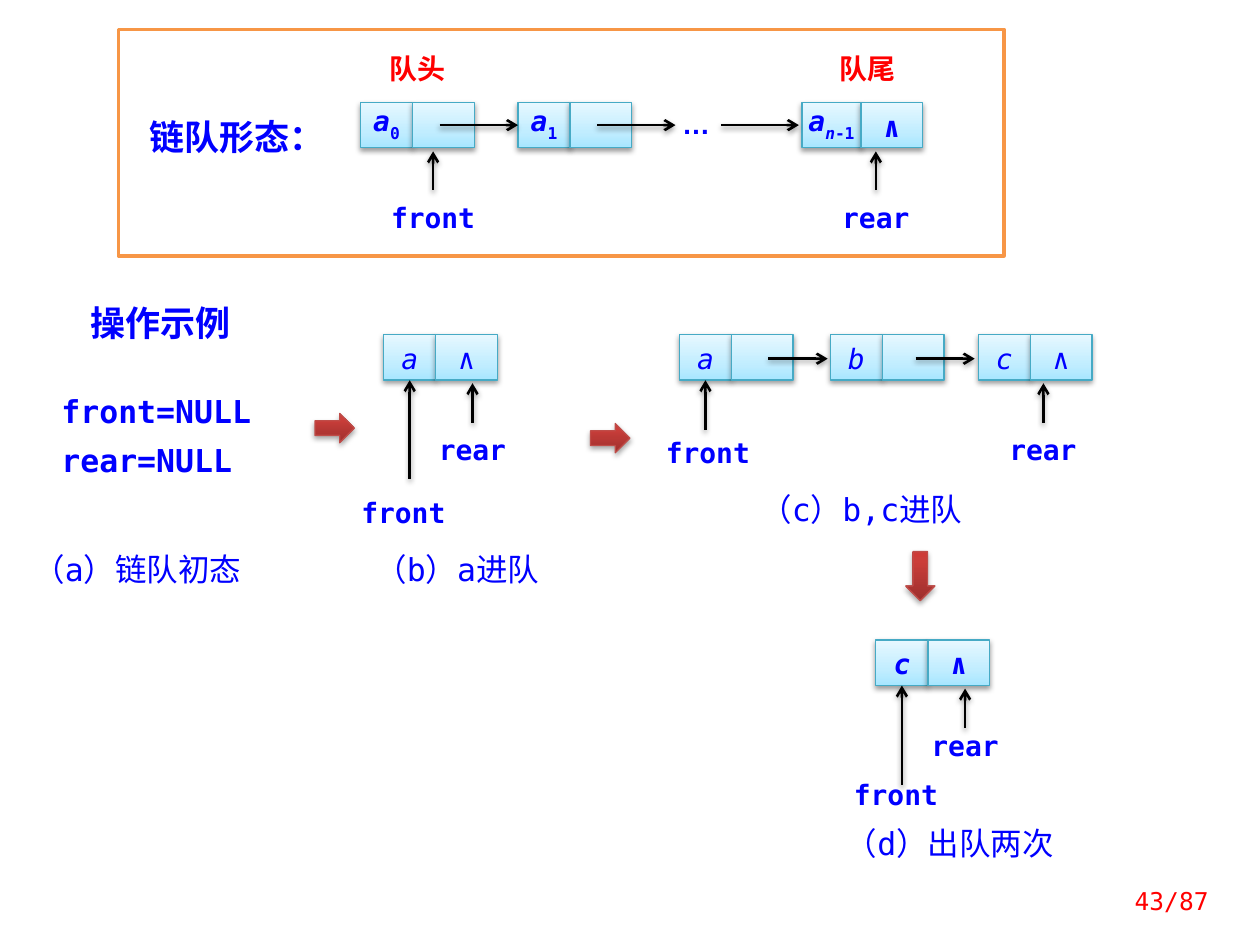
import lxml.etree
import pptx
import pptx.dml.color
import pptx.enum.shapes
import pptx.enum.text
import pptx.oxml.ns
import pptx.util

Pt = pptx.util.Pt
qn = pptx.oxml.ns.qn
SHAPES = pptx.enum.shapes.MSO_SHAPE
ALIGN = pptx.enum.text.PP_ALIGN
MONO = "DejaVu Sans Mono"
BLUE, RED, WHITE, BLACK = "0000FF", "FF0000", "FFFFFF", "000000"
NODE_STOPS = [(0, "A7E6FF"), (35, "C1EDFF"), (100, "E7F8FF")]
ARROW_STOPS = [(0, "9C2F2D"), (80, "CB3E3A"), (100, "CE3B37")]
VALUE_WIDTH, LINK_WIDTH, NODE_HEIGHT = 29.75, 35.25, 26
TOP_ROW, MIDDLE_ROW, BOTTOM_ROW = 58.5, 191.25, 365.75


def colour(value):
    """Turn a hex string into a colour."""
    return pptx.dml.color.RGBColor.from_string(value)


def add_element(parent, tag, **attributes):
    """Append a drawing element to a parent."""
    names = {name: str(value) for name, value in attributes.items()}
    return lxml.etree.SubElement(parent, qn(tag), names)


def add_shadow(effects, opacity, distance):
    """Put a soft downward shadow in an effect list."""
    shadow = add_element(effects, "a:outerShdw", blurRad=Pt(3.1), dist=Pt(distance),
                         dir=5400000, rotWithShape=0)
    shadow_colour = add_element(shadow, "a:srgbClr", val=BLACK)
    add_element(shadow_colour, "a:alpha", val=opacity * 1000)


def fill_gradient(shape, stops):
    """Fill a shape with a gradient that runs upwards."""
    shape.fill.gradient()
    shape.fill.gradient_angle = 90
    stop_list = shape._element.spPr.find(".//" + qn("a:gsLst"))
    stop_list.clear()
    for position, value in stops:
        stop = add_element(stop_list, "a:gs", pos=position * 1000)
        add_element(stop, "a:srgbClr", val=value)


def add_run(paragraph, text, style="", size=16, font=MONO, color=BLUE):
    """Add a run; style letters are b bold, i italic, s subscript."""
    run = paragraph.add_run()
    run.text = text
    run.font.name = font
    run.font.size = Pt(size)
    run.font.bold = "b" in style
    run.font.italic = "i" in style
    run.font.color.rgb = colour(color)
    properties = run._r.get_or_add_rPr()
    add_element(properties, "a:ea", typeface=font)
    if "s" in style:
        properties.set("baseline", "-30000")


def clear_margins(frame):
    """Wrap the text from the top and remove the insets."""
    frame.word_wrap = True
    frame.vertical_anchor = pptx.enum.text.MSO_ANCHOR.TOP
    frame.margin_left = frame.margin_top = frame.margin_right = frame.margin_bottom = 0


def add_box(slide, kind, left, top, width, height, line=None, line_width=0.75):
    """Add a white preset shape without shadow."""
    shape = slide.shapes.add_shape(kind, Pt(left), Pt(top), Pt(width), Pt(height))
    shape.shadow.inherit = False
    shape.fill.solid()
    shape.fill.fore_color.rgb = colour(WHITE)
    if line:
        shape.line.color.rgb = colour(line)
        shape.line.width = Pt(line_width)
    else:
        shape.line.fill.background()
    clear_margins(shape.text_frame)
    return shape


def add_label(slide, text, left, top, width=56, height=26.5, color=BLUE, font=MONO):
    """Add a bold centred label."""
    label = add_box(slide, SHAPES.RECTANGLE, left, top, width, height)
    paragraph = label.text_frame.paragraphs[0]
    paragraph.alignment = ALIGN.CENTER
    add_run(paragraph, text, "b", font=font, color=color)
    return label


def add_cell(slide, left, top, width, runs):
    """Add one cell of a list node."""
    cell = add_box(slide, SHAPES.RECTANGLE, left, top, width, NODE_HEIGHT, "46AAC5")
    fill_gradient(cell, NODE_STOPS)
    add_shadow(cell._element.spPr.find(qn("a:effectLst")), 38, 1.6)
    if runs:
        paragraph = cell.text_frame.paragraphs[0]
        paragraph.alignment = ALIGN.CENTER
        paragraph.line_spacing = Pt(23)
        for text, style in runs:
            add_run(paragraph, text, style)
    return cell


def add_node(slide, left, top, value, link=(), value_width=VALUE_WIDTH):
    """Add a list node and return its value cell."""
    cell = add_cell(slide, left, top, value_width, value)
    add_cell(slide, left + value_width, top, LINK_WIDTH, link)
    return cell


def add_arrow(slide, start, end, source=None, target=None, target_side=1):
    """Add a pointer arrow, joined to the top of source and a side of target."""
    points = [Pt(value) for value in (*start, *end)]
    straight = pptx.enum.shapes.MSO_CONNECTOR.STRAIGHT
    arrow = slide.shapes.add_connector(straight, *points)
    arrow.line.color.rgb = colour(BLACK)
    arrow.line.width = Pt(1.5)
    add_element(arrow.line._get_or_add_ln(), "a:tailEnd", type="arrow")
    add_shadow(add_element(arrow._element.spPr, "a:effectLst"), 38, 1.6)
    if source:
        arrow.begin_connect(source, 0)
    if target:
        arrow.end_connect(target, target_side)


def add_front_arrow(slide, node, start):
    """Point upwards at the middle of a value cell."""
    center = (node.left + node.width / 2) / Pt(1)
    bottom = (node.top + node.height) / Pt(1)
    add_arrow(slide, (center, start), (center, bottom), target=node, target_side=2)


def add_block_arrow(slide, kind, left, top, width, height):
    """Add a red block arrow between two steps."""
    shape = add_box(slide, kind, left, top, width, height, "BF4C48")
    fill_gradient(shape, ARROW_STOPS)
    add_shadow(shape._element.spPr.find(qn("a:effectLst")), 35, 1.8)


def add_text(slide, lines, left, top, width, height, style="", size=18, font=MONO,
             color=BLUE, spacing=None):
    """Add a text box with one paragraph for each line."""
    box = slide.shapes.add_textbox(Pt(left), Pt(top), Pt(width), Pt(height))
    box.text_frame.word_wrap = True
    for index, line in enumerate(lines):
        frame = box.text_frame
        paragraph = frame.add_paragraph() if index else frame.paragraphs[0]
        paragraph.line_spacing = spacing
        add_run(paragraph, line, style, size, font, color)
    return box


def add_caption(slide, text, left, top, width):
    """Add a centred caption below a step."""
    box = add_text(slide, [text], left, top, width, 22, spacing=0.96)
    clear_margins(box.text_frame)
    box.text_frame.paragraphs[0].alignment = ALIGN.CENTER


def add_queue_form(slide):
    """Draw the framed general form of the linked queue."""
    add_box(slide, SHAPES.RECTANGLE, 67.75, 16.75, 506, 129.5, "F79646", 2)
    add_label(slide, "队尾", 456.5, 29.5, 78.5, 26, RED)
    add_label(slide, "队头", 206, 29.5, 65.5, 26, RED)
    add_label(slide, "…", 380, 61, 35.5, 26, font="Arial")
    add_label(slide, "front", 219.5, 114.5)
    add_label(slide, "rear", 472.5, 114.5)
    add_node(slide, 206, TOP_ROW, [("a", "bi"), ("0", "bs")])
    second = add_node(slide, 296, TOP_ROW, [("a", "bi"), ("1", "bs")])
    add_node(slide, 458.25, TOP_ROW, [("a", "bi"), ("n", "bis"), ("-1", "bs")],
             [("∧", "b")], 33.75)
    middle = TOP_ROW + NODE_HEIGHT / 2
    add_arrow(slide, (251.25, middle), (296, middle), target=second)
    for start, end in ((341.25, 386), (412, 456.5)):
        add_arrow(slide, (start, middle), (end, middle))
    for center in (247.5, 500.5):
        add_arrow(slide, (center, 108.5), (center, 86.5))
    add_text(slide, ["链队形态："], 78.5, 58.25, 112.25, 33, "b", 20, spacing=Pt(28))


def add_steps(slide):
    """Draw the four steps of the example."""
    add_text(slide, ["操作示例"], 44.75, 168.5, 101.5, 31.5, "b", 20, "Noto Sans CJK SC")
    add_text(slide, ["front=NULL", "rear=NULL"], 28, 214, 124, 64, "b", spacing=Pt(28))

    add_label(slide, "front", 202.5, 283)
    add_label(slide, "rear", 242, 247)
    first = add_node(slide, 219.25, MIDDLE_ROW, [("a", "i")], [("∧", "")])
    add_front_arrow(slide, first, 273.5)

    add_label(slide, "front", 376.5, 249)
    add_label(slide, "rear", 568, 247)
    head = add_node(slide, 388.25, MIDDLE_ROW, [("a", "i")])
    add_node(slide, 474.5, MIDDLE_ROW, [("b", "i")])
    add_node(slide, 559, MIDDLE_ROW, [("c", "i")], [("∧", "")])
    add_front_arrow(slide, head, 245.5)
    for start, end in ((439, 473), (523.25, 557)):
        add_arrow(slide, (start, 205), (end, 205))
    for center in (270, 596.25):
        add_arrow(slide, (center, 241.5), (center, 219))

    add_label(slide, "front", 484, 444.5)
    rear = add_label(slide, "rear", 523.5, 416)
    last = add_node(slide, 500.5, BOTTOM_ROW, [("c", "bi")], [("∧", "b")])
    add_arrow(slide, (551.5, 416), (551.5, 393.5), source=rear)
    add_front_arrow(slide, last, 448.5)

    add_caption(slide, "（a）链队初态", 16.5, 316, 124)
    add_caption(slide, "（b）a进队", 208, 315.5, 106.5)
    add_caption(slide, "（c）b,c进队", 427.5, 281.5, 129.5)
    add_caption(slide, "（d）出队两次", 478, 472.5, 129.5)
    add_block_arrow(slide, SHAPES.RIGHT_ARROW, 180, 236.25, 22.5, 16.75)
    add_block_arrow(slide, SHAPES.RIGHT_ARROW, 337.5, 242, 22.5, 16.75)
    add_block_arrow(slide, SHAPES.DOWN_ARROW, 517.5, 315.25, 16.75, 28)


def main():
    """Build the linked queue slide and save it."""
    presentation = pptx.Presentation()
    presentation.slide_width, presentation.slide_height = Pt(720), Pt(540)
    slide = presentation.slides.add_slide(presentation.slide_layouts[6])
    add_steps(slide)
    add_queue_form(slide)
    number = add_text(slide, ["43/87"], 624.25, 500.5, 73.5, 28.75, size=14, color=RED)
    number.text_frame.vertical_anchor = pptx.enum.text.MSO_ANCHOR.MIDDLE
    number.text_frame.paragraphs[0].alignment = ALIGN.RIGHT
    presentation.save("out.pptx")


if __name__ == "__main__":
    main()
